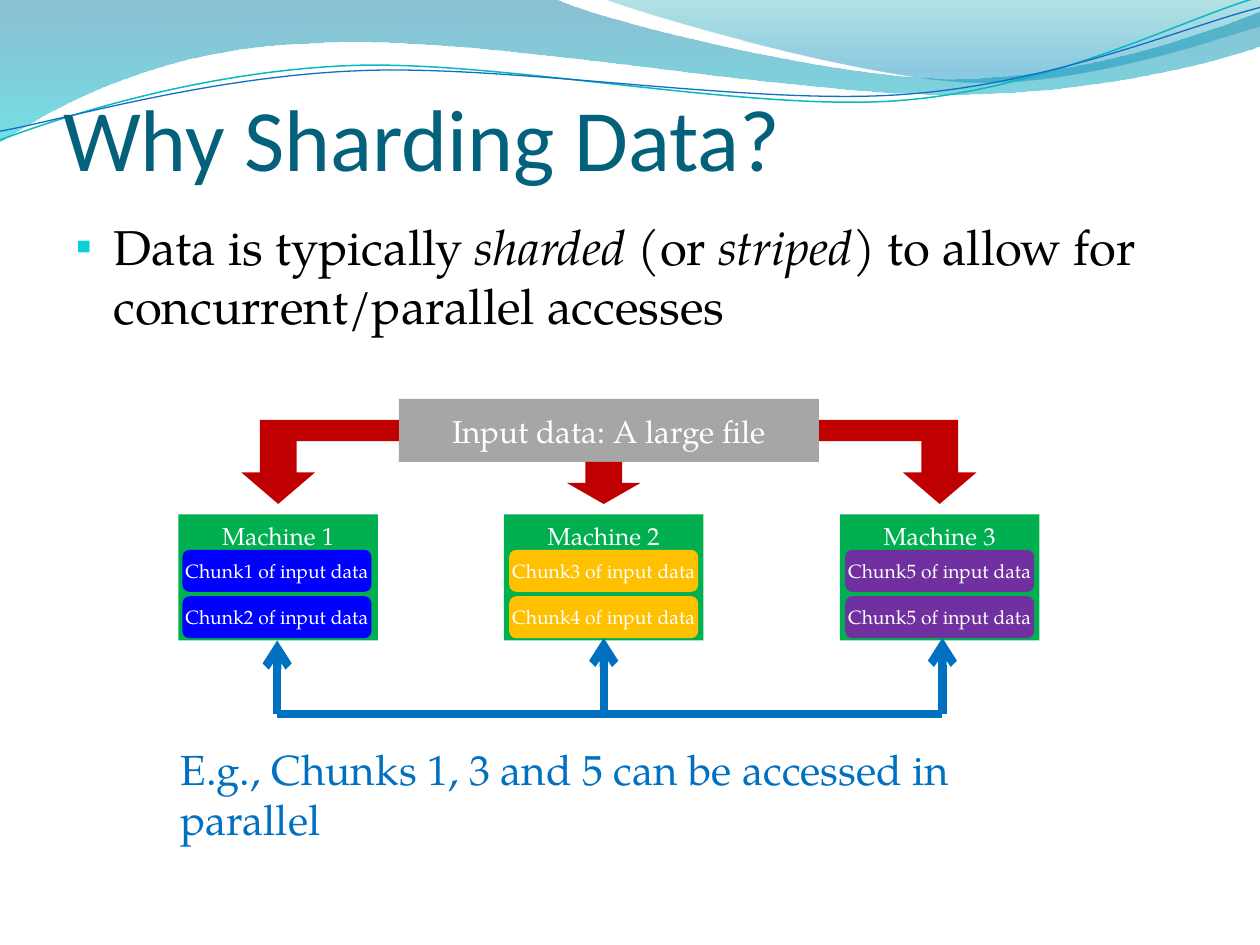
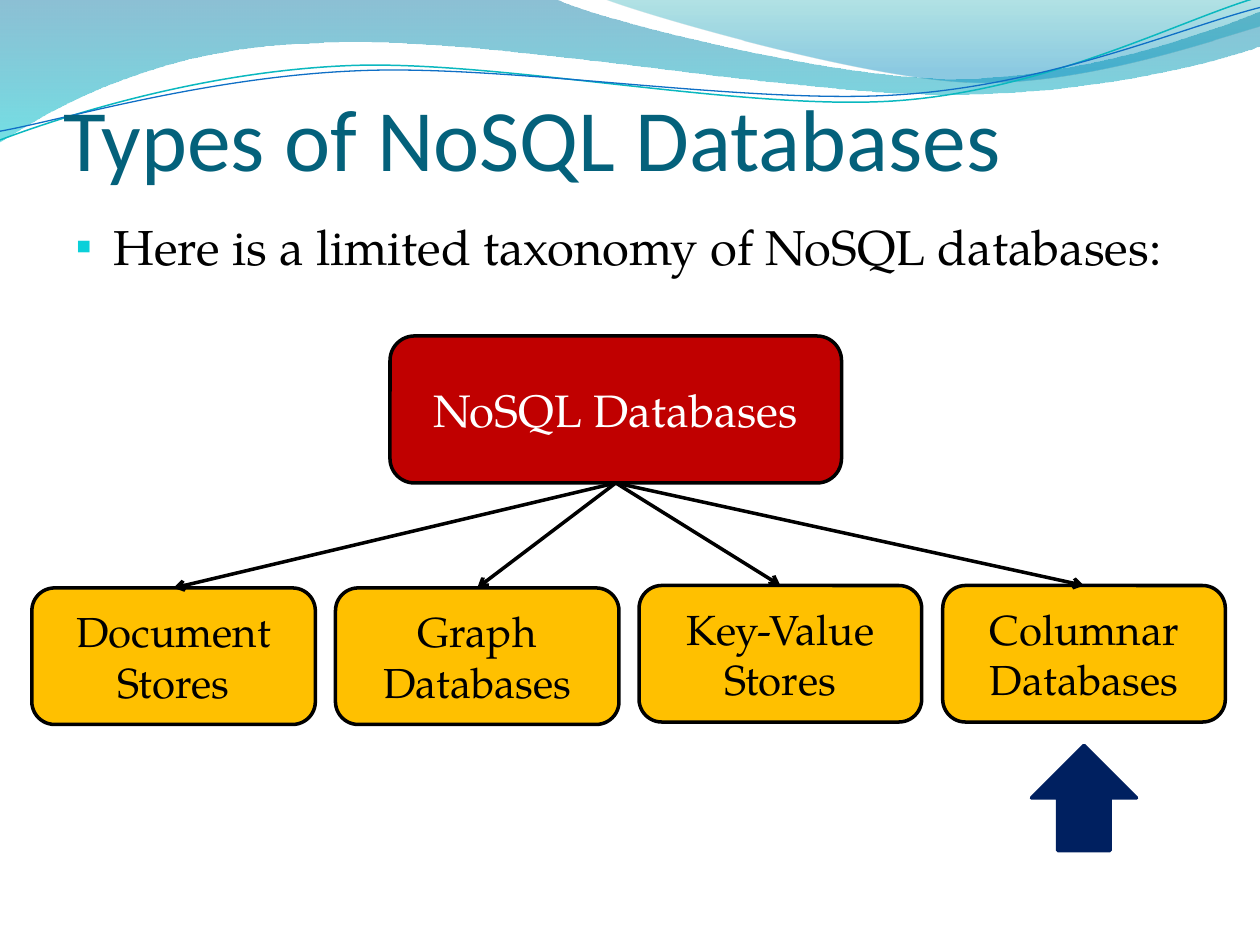
from collections import namedtuple
from dataclasses import dataclass

import pptx
import pptx.dml.color
import pptx.enum.shapes
import pptx.enum.text
import pptx.oxml
import pptx.oxml.ns
import pptx.util
from lxml import etree

Pt = pptx.util.Pt
qn = pptx.oxml.ns.qn
PRESET = pptx.enum.shapes.MSO_SHAPE
ALIGN = pptx.enum.text.PP_ALIGN
ANCHOR = pptx.enum.text.MSO_ANCHOR

Box = namedtuple("Box", "left top width height")


@dataclass(frozen=True)
class Theme:
    heading_font: str = "Calibri"
    text_font: str = "TeX Gyre Pagella"
    title_size: float = 50
    body_size: float = 28
    root_size: float = 26
    large_size: float = 24
    file_size: float = 18
    machine_size: float = 14
    chunk_size: float = 11
    title: str = "04617B"
    bullet: str = "0BD0D9"
    black: str = "000000"
    white: str = "FFFFFF"
    gray: str = "A6A6A6"
    green: str = "00B050"
    red: str = "C00000"
    blue: str = "0000FF"
    amber: str = "FFC000"
    purple: str = "7030A0"
    access: str = "0070C0"
    navy: str = "002060"
    wave_lines: tuple = (("0AB8BF", 0.85), ("0F6FC6", 0.75))
    # Gradient stops: position, colour, opacity in percent
    wide_wave: tuple = ((0, "0074A1", 45), (1, "00C6CF", 55))
    right_wave: tuple = ((0, "00A1A9", 30), (0.8, "008BBF", 45))


THEME = Theme()
TITLE_BOX = Box(36, 18, 648, 90)
BODY_BOX = Box(36, 120, 666, 414)

# Wave outlines: a start point, then lines (one point) and curves (three points)
WIDE_WAVE = [(0, 0), [(317, -0.7)],
             [(343, 12), (478, 45), (546, 45)], [(614, 45), (690, 19), (720, 6.5)],
             [(720.7, 26)],
             [(708, 32), (626, 55), (537, 54)], [(447.5, 54), (275, 20), (185, 24.5)],
             [(93, 26), (33, 60), (-0.7, 81.4)]]
RIGHT_WAVE = [(345, -0.7), [(366.5, 8), (491, 44.5), (553.5, 47)],
              [(616.5, 49.5), (692, 23), (720, 15)], [(720, 0)]]
WAVE_LINES = [
    [(0, 80), [(34.5, 67), (114, 41), (199.5, 37.5)],
     [(284.5, 34), (427, 64), (513.5, 57.5)], [(600, 51), (675.5, 11), (718.5, -1.4)]],
    [(0, 75), [(34, 69), (118, 44), (204, 40.5)],
     [(290, 36.5), (430, 60.5), (516, 54)], [(602, 48), (677.5, 15), (720, 4.3)]],
]


def rgb(colour):
    return pptx.dml.color.RGBColor.from_string(colour)


def place(shape, box):
    shape.left, shape.top, shape.width, shape.height = map(Pt, box)


def style_font(font, size, colour, name=THEME.text_font):
    font.name, font.size = name, Pt(size)
    font.color.rgb = rgb(colour)


# Shared drawing helpers

def add_block(slide, preset, box, fill, outline=None):
    shape = slide.shapes.add_shape(preset, *map(Pt, box))
    shape.shadow.inherit = False
    shape.fill.solid()
    shape.fill.fore_color.rgb = rgb(fill)
    if outline:
        shape.line.color.rgb = rgb(outline)
        shape.line.width = Pt(2)
    else:
        shape.line.fill.background()
    return shape


def add_label(shape, text, size, colour, anchor=ANCHOR.MIDDLE, side_inset=7.2, wrap=True):
    frame = shape.text_frame
    frame.text = text
    frame.word_wrap = wrap
    frame.vertical_anchor = anchor
    frame.margin_left = frame.margin_right = Pt(side_inset)
    paragraph = frame.paragraphs[0]
    paragraph.alignment = ALIGN.CENTER
    style_font(paragraph.runs[0].font, size, colour)


def add_line(slide, start, end, colour, width, arrow=True):
    connector = slide.shapes.add_connector(
        pptx.enum.shapes.MSO_CONNECTOR.STRAIGHT, *map(Pt, start + end))
    connector.line.color.rgb = rgb(colour)
    connector.line.width = Pt(width)
    properties = connector.element.spPr
    if arrow:
        etree.SubElement(properties.find(qn("a:ln")), qn("a:tailEnd"), type="arrow")
    etree.SubElement(properties, qn("a:effectLst"))


# Wave band on the master

def add_wave(slide, outline, close):
    """Build the outline from its points, then join each three into a curve."""
    start, *segments = outline
    points = [(Pt(x), Pt(y)) for segment in segments for x, y in segment]
    builder = slide.shapes.build_freeform(*map(Pt, start))
    builder.add_line_segments(points, close=close)
    shape = builder.convert_to_shape()
    shape.shadow.inherit = False
    steps = iter(list(shape.element.spPr.iter(qn("a:lnTo"))))
    for segment in segments:
        parts = [next(steps) for _ in segment]
        if len(parts) == 3:
            curve = etree.Element(qn("a:cubicBezTo"))
            parts[0].addprevious(curve)
            for part in parts:
                curve.append(part[0])
                part.getparent().remove(part)
    return shape


def fill_gradient(shape, stops):
    shape.line.fill.background()
    shape.fill.gradient()
    shape.fill.gradient_angle = 270
    for stop, (position, colour, _) in zip(shape.fill.gradient_stops, stops):
        stop.position = position
        stop.color.rgb = rgb(colour)
    colours = shape.element.spPr.iter(qn("a:srgbClr"))
    for element, (_, _, opacity) in zip(colours, stops):
        etree.SubElement(element, qn("a:alpha"), val=str(opacity * 1000))


def add_master_band(presentation, slide):
    """Draw the waves on a slide, then move them behind the master's parts."""
    waves = []
    for outline, stops in ((WIDE_WAVE, THEME.wide_wave), (RIGHT_WAVE, THEME.right_wave)):
        shape = add_wave(slide, outline, close=True)
        fill_gradient(shape, stops)
        waves.append(shape)
    for outline, (colour, width) in zip(WAVE_LINES, THEME.wave_lines):
        shape = add_wave(slide, outline, close=False)
        shape.fill.background()
        shape.line.color.rgb = rgb(colour)
        shape.line.width = Pt(width)
        waves.append(shape)
    tree = presentation.slide_master.shapes.element
    for index, shape in enumerate(waves):
        shape.element.nvSpPr.cNvPr.set("id", str(100 + index))
        tree.insert(2 + index, shape.element)


# Title and bullet

def add_title(slide, box, text):
    title = slide.shapes.title
    place(title, box)
    frame = title.text_frame
    frame.text = text
    frame.word_wrap = True
    frame.auto_size = pptx.enum.text.MSO_AUTO_SIZE.NONE
    frame.vertical_anchor = ANCHOR.BOTTOM
    frame.margin_left = frame.margin_right = frame.margin_bottom = 0
    frame.margin_top = Pt(3.6)
    paragraph = frame.paragraphs[0]
    paragraph.alignment = ALIGN.LEFT
    style_font(paragraph.runs[0].font, THEME.title_size, THEME.title, THEME.heading_font)


def add_bullet(slide, box, pieces):
    """Fill the body with one bullet; every second piece is italic."""
    body = slide.placeholders[1]
    place(body, box)
    body.text_frame.auto_size = pptx.enum.text.MSO_AUTO_SIZE.NONE
    paragraph = body.text_frame.paragraphs[0]
    properties = paragraph._p.get_or_add_pPr()
    properties.set("marL", str(Pt(21.6)))
    properties.set("indent", str(Pt(-21.6)))
    colour = etree.SubElement(properties, qn("a:buClr"))
    etree.SubElement(colour, qn("a:srgbClr"), val=THEME.bullet)
    etree.SubElement(properties, qn("a:buSzPct"), val="95000")
    etree.SubElement(properties, qn("a:buChar"), char="▪")
    paragraph.space_before = Pt(0)
    for index, piece in enumerate(pieces):
        run = paragraph.add_run()
        run.text = piece
        run.font.italic = index % 2 == 1
        style_font(run.font, THEME.body_size, THEME.black)


def add_content_slide(presentation, title, pieces):
    slide = presentation.slides.add_slide(presentation.slide_layouts[1])
    add_title(slide, TITLE_BOX, title)
    add_bullet(slide, BODY_BOX, pieces)
    return slide


# Sharding diagram

def add_machine(slide, box, name, chunks, colour, chunk_inset):
    machine = add_block(slide, PRESET.RECTANGLE, box, THEME.green)
    add_label(machine, name, THEME.machine_size, THEME.white, ANCHOR.TOP)
    for index, chunk in enumerate(chunks):
        chunk_box = Box(box.left + chunk_inset, box.top + 20.2 + 26.5 * index,
                        box.width - 6, 24)
        shape = add_block(slide, PRESET.ROUNDED_RECTANGLE, chunk_box, colour)
        add_label(shape, f"{chunk} of input data", THEME.chunk_size, THEME.white,
                  side_inset=0)


def add_input_file(slide, box):
    """Draw the file and the block arrows that lead to the machines."""
    shape = add_block(slide, PRESET.RECTANGLE, box, THEME.gray)
    add_label(shape, "Input data: A large file", THEME.file_size, THEME.white)
    right, bottom = box.left + box.width, box.top + box.height
    bar_length, bar_top = 79.5, box.top + 12
    for left in (box.left - bar_length, right):
        add_block(slide, PRESET.RECTANGLE, Box(left, bar_top, bar_length, 12.2), THEME.red)
    for left, top in ((box.left - 90, bottom - 12), (box.left + 96, bottom),
                      (right + 48, bottom - 12)):
        arrow_box = Box(left, top, 42, bottom + 24 - top)
        add_block(slide, PRESET.DOWN_ARROW, arrow_box, THEME.red)


def add_parallel_access(slide, box):
    """Draw the shared line, its arrows to the machines, and the caption."""
    line_y = box.top + 42
    stems = [(box.left + offset, box.top + drop)
             for offset, drop in ((56.4, 0), (243, -1.5), (436.5, -1.5))]
    for x, tip_y in stems:
        add_line(slide, (x, line_y), (x, tip_y), THEME.access, 4.75)
    add_line(slide, (stems[0][0], line_y), (stems[-1][0], line_y), THEME.access, 4.75,
             arrow=False)
    caption = slide.shapes.add_textbox(*map(Pt, (box.left - 6, box.top + 55.2, box.width, 36)))
    frame = caption.text_frame
    frame.word_wrap = True
    frame.text = "E.g., Chunks 1, 3 and 5 can be accessed in parallel"
    style_font(frame.paragraphs[0].runs[0].font, THEME.large_size, THEME.access)


def add_sharding_diagram(slide, box):
    add_input_file(slide, Box(box.left + 126, box.top, 240, 36))
    machines = ((0, "Machine 1", ("Chunk1", "Chunk2"), THEME.blue, 2.3),
                (186, "Machine 2", ("Chunk3", "Chunk4"), THEME.amber, 3),
                (378, "Machine 3", ("Chunk5", "Chunk5"), THEME.purple, 3))
    for offset, *details in machines:
        add_machine(slide, Box(box.left + offset, box.top + 66, 114, 72), *details)
    add_parallel_access(slide, Box(box.left, box.top + 138, 500, 90))


# Taxonomy tree

def add_taxonomy(slide, box):
    root_box = Box(box.left + 204.7, box.top, 258, 84)
    root = add_block(slide, PRESET.ROUNDED_RECTANGLE, root_box, THEME.red, THEME.black)
    add_label(root, "NoSQL Databases", THEME.root_size, THEME.white)
    root_foot = (root_box.left + root_box.width / 2, root_box.top + root_box.height)
    kinds = ("Document Stores", "Graph Databases", "Key-Value Stores", "Columnar Databases")
    pitch = 173.5
    for index, kind in enumerate(kinds):
        drop, width = (144, 162) if index < 2 else (142.6, 161.5)
        kind_box = Box(box.left + pitch * index, box.top + drop, width, 78)
        shape = add_block(slide, PRESET.ROUNDED_RECTANGLE, kind_box, THEME.amber, THEME.black)
        add_label(shape, kind, THEME.large_size, THEME.black)
        center = kind_box.left + width / 2
        add_line(slide, root_foot, (center, kind_box.top), THEME.black, 2)
    # Pointer below the last kind
    pointer_box = Box(center - 30, box.top + 234, 60, 60)
    add_block(slide, PRESET.UP_ARROW, pointer_box, THEME.navy, THEME.navy)


def main():
    presentation = pptx.Presentation()
    presentation.slide_width, presentation.slide_height = Pt(720), Pt(540)

    sharding = add_content_slide(presentation, "Why Sharding Data?", (
        "Data is typically ", "sharded", " (or ", "striped",
        ") to allow for concurrent/parallel accesses"))
    add_master_band(presentation, sharding)
    add_sharding_diagram(sharding, Box(102, 228, 492, 270))

    types = add_content_slide(presentation, "Types of NoSQL Databases", (
        "Here is a limited taxonomy of NoSQL databases:",))
    add_taxonomy(types, Box(18.2, 192, 682, 294))

    presentation.save("out.pptx")


if __name__ == "__main__":
    main()
